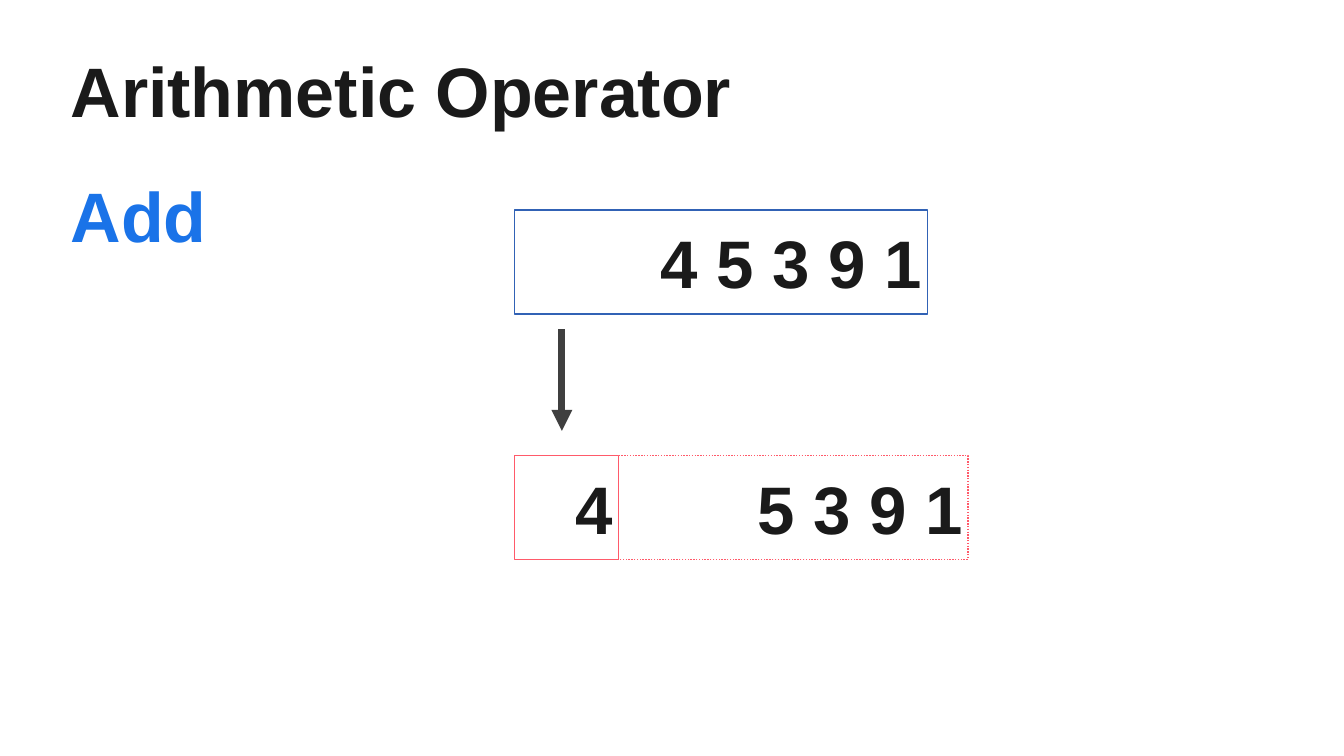
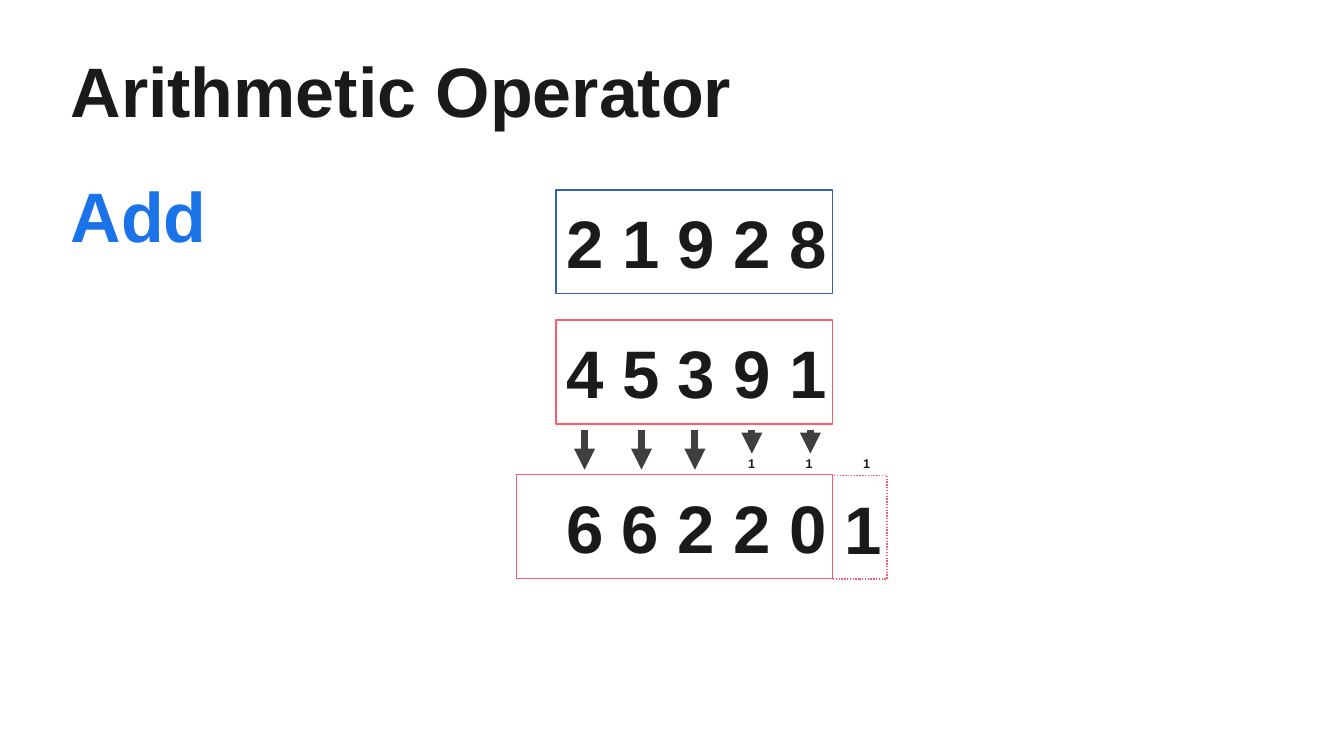
from pptx import Presentation
from pptx.dml.color import RGBColor
from pptx.enum.dml import MSO_LINE_DASH_STYLE as Dash
from pptx.enum.shapes import MSO_CONNECTOR as Connector, MSO_SHAPE as Shape
from pptx.enum.text import MSO_ANCHOR as Anchor, MSO_AUTO_SIZE as AutoSize, PP_ALIGN as Align
from pptx.oxml.ns import qn
from pptx.util import Inches, Pt
from lxml.etree import SubElement

COLORS = {
    "ink": "1A1A1A",
    "accent": "1A73E8",
    "first": "3162B5",
    "second": "FF5A6A",
    "arrow": "3F3F3F",
}
FONT = "Arial"
COLUMNS, ROWS = 26.67, 15
COLUMN = ROW = Inches(1)
BOX_HEIGHT = 2.06
ARROW_TOP = 8.53
HEADING_INSET = Inches(0.27)


def write_text(shape, text, size, color="ink", align=Align.LEFT):
    frame = shape.text_frame
    frame.word_wrap = True
    paragraph = frame.paragraphs[0]
    paragraph.alignment = align
    run = paragraph.add_run()
    run.text = text
    run.font.name = FONT
    run.font.size = Pt(size)
    run.font.bold = True
    run.font.color.rgb = RGBColor.from_string(COLORS[color])
    return frame


def add_label(slide, text, left, top, width, height, size, color="ink", inset=None):
    label = slide.shapes.add_textbox(
        int(left * COLUMN), int(top * ROW), int(width * COLUMN), int(height * ROW))
    frame = write_text(label, text, size, color)
    frame.auto_size = AutoSize.SHAPE_TO_FIT_TEXT
    if inset is not None:
        frame.margin_left = frame.margin_right = inset
        frame.margin_top = frame.margin_bottom = inset


split_step = {
    "boxes": [
        ("4 5 3 9 1", 10.21, 4.17, 8.19, "first", False),
        ("4", 10.21, 9.04, 2.06, "second", False),
        ("5 3 9 1", 12.27, 9.04, 6.94, "second", True),
    ],
    "arrows": [(11.15, 6.53, 8.55)],
    "carries": [],
}
sum_step = {
    "boxes": [
        ("2 1 9 2 8", 11.03, 3.77, 5.49, "first", False),
        ("4 5 3 9 1", 11.03, 6.35, 5.49, "second", False),
        ("1", 16.52, 9.43, 1.08, "second", True),
        ("6 6 2 2 0", 10.25, 9.42, 6.27, "second", False),
    ],
    "arrows": [(x, ARROW_TOP, 9.32) for x in (11.6, 12.73, 13.79)]
    + [(x, ARROW_TOP, 9) for x in (14.92, 16.08)],
    "carries": [14.75 + 1.14 * place for place in range(3)],
}

presentation = Presentation()
presentation.slide_width = int(COLUMNS * COLUMN)
presentation.slide_height = ROWS * ROW

for step in (split_step, sum_step):
    slide = presentation.slides.add_slide(presentation.slide_layouts[6])
    add_label(slide, "Arithmetic Operator", 1.13, 0.67, 19.84, 2.22, 100, inset=HEADING_INSET)

    for digits, left, top, width, color, dotted in step["boxes"]:
        box = slide.shapes.add_shape(
            Shape.RECTANGLE, int(left * COLUMN), int(top * ROW),
            int(width * COLUMN), int(BOX_HEIGHT * ROW))
        box.shadow.inherit = False
        box.fill.background()
        box.line.color.rgb = RGBColor.from_string(COLORS[color])
        box.line.width = Pt(2)
        if dotted:
            box.line.dash_style = Dash.ROUND_DOT
        frame = write_text(box, digits, 96, align=Align.RIGHT)
        frame.vertical_anchor = Anchor.MIDDLE

    for x, top, bottom in step["arrows"]:
        arrow = slide.shapes.add_connector(
            Connector.STRAIGHT, int(x * COLUMN), int(top * ROW),
            int(x * COLUMN), int(bottom * ROW))
        arrow.line.color.rgb = RGBColor.from_string(COLORS["arrow"])
        arrow.line.width = Pt(10)
        SubElement(arrow.line._get_or_add_ln(), qn("a:tailEnd"), type="triangle")
        SubElement(arrow._element.spPr, qn("a:effectLst"))

    for left in step["carries"]:
        add_label(slide, "1", left, 8.99, 0.57, 0.4, 18)

    add_label(slide, "Add", 1.13, 3.15, 9.89, 2.22, 100, "accent", HEADING_INSET)

presentation.save("out.pptx")
